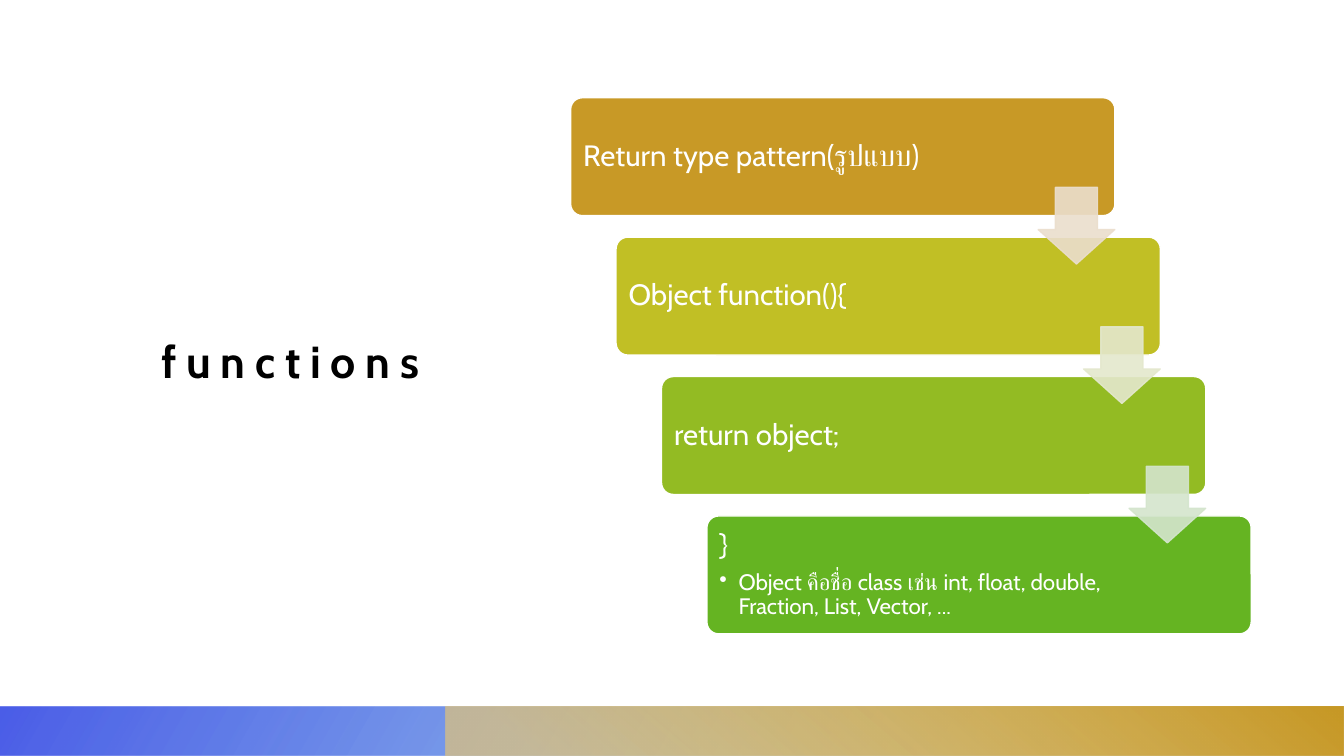
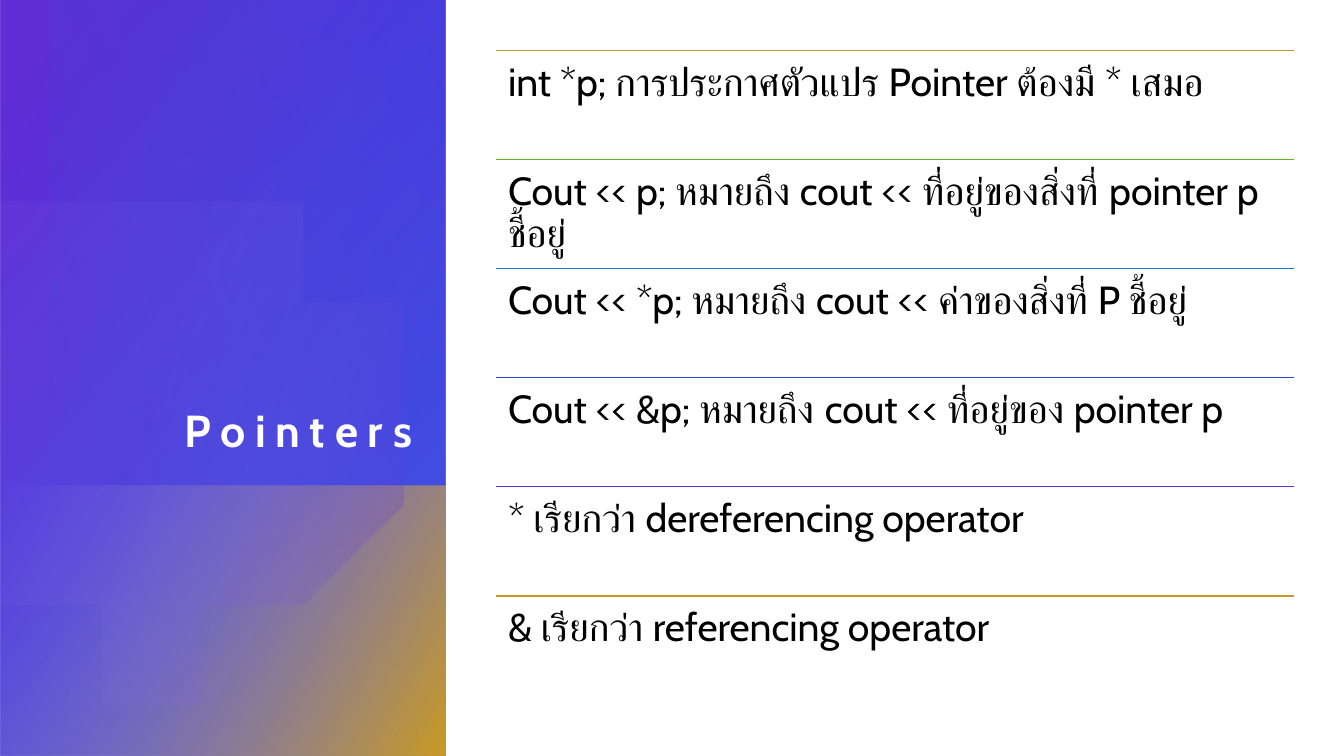
from pptx import Presentation
from pptx.dml.color import RGBColor
from pptx.enum.shapes import MSO_CONNECTOR, MSO_SHAPE
from pptx.enum.text import MSO_ANCHOR, PP_ALIGN
from pptx.oxml.ns import qn
from pptx.oxml.xmlchemy import OxmlElement
from pptx.util import Inches, Pt

WIDE, HIGH = Inches(13.333), Inches(7.5)
FONT = "Cabin"
WHITE, BLACK = "FFFFFF", "000000"
GOLD, OLIVE, LIME, GREEN = "C89926", "C1BF25", "93BB23", "65B422"
SKY, BLUE, VIOLET = "1A7CD2", "2C41E4", "602DD6"
SIDE = 33.15  # share of the width held by the left column

STEPS = [
    (GOLD, ["Return type pattern(รูปแบบ)"]),
    (OLIVE, ["Object function(){"]),
    (LIME, ["return object;"]),
    (GREEN, ["}", "Object คือชื่อ class เช่น int, float, double, "
             "Fraction, List, Vector, ..."]),
]
ARROWS = ["EBDECD", "E4E8CD", "D4E5CD"]
ROWS = [
    (GOLD, "int *p; การประกาศตัวแปร Pointer ต้องมี * เสมอ"),
    (GREEN, "Cout << p; หมายถึง cout << ที่อยู่ของสิ่งที่\u00a0pointer p ชี้อยู่"),
    (SKY, "Cout << *p; หมายถึง cout << ค่าของสิ่งที่ P ชี้อยู่"),
    (BLUE, "Cout << &p; หมายถึง\u00a0cout << ที่อยู่ของ pointer p"),
    (VIOLET, "* เรียกว่า dereferencing operator"),
    (GOLD, "& เรียกว่า referencing operator"),
]
# Disc outline in inches: start, then curves (two handles and an end) or corners.
START = (1.64, 1.96)
DISC = [
    [(2.61, 1.98), (3.5, 2.63), (3.78, 3.62)],
    [(4.13, 4.83), (3.43, 6.1), (2.22, 6.44)],
    [(1.46, 6.66), (0.68, 6.47), (0.12, 6)],
    [(0, 5.89)],
    [(0, 2.61)],
    [(0.15, 2.47)],
    [(0.38, 2.29), (0.65, 2.14), (0.95, 2.05)],
    [(1.18, 1.99), (1.41, 1.96), (1.64, 1.96)],
]


def rgb(code):
    """Turn a hex string into a colour."""
    return RGBColor.from_string(code)


def area(x, y, wide, high):
    """Turn percent shares of the slide into lengths."""
    return [int(part * full / 100) for part, full in
            zip((x, y, wide, high), (WIDE, HIGH, WIDE, HIGH))]


def put(item, form):
    """Set each attribute of a format dict."""
    for name, value in form.items():
        setattr(item, name, value)


def node(home, tag, **attrs):
    """Append an XML child with the given attributes."""
    kid = OxmlElement(tag)
    for name, value in attrs.items():
        kid.set(name, str(value))
    home.append(kid)
    return kid


def blend(shape, stops, angle):
    """Fill a shape with a gradient of (place, colour, opacity) stops."""
    put(shape.shadow, {"inherit": False})
    shape.line.fill.background()
    shape.fill.background()
    props = shape.element.spPr
    grad = OxmlElement("a:gradFill")
    grad.set("rotWithShape", "1")
    props.replace(props.find(qn("a:noFill")), grad)
    stack = node(grad, "a:gsLst")
    for place, code, alpha in stops:
        stop = node(stack, "a:gs", pos=place * 1000)
        tone = node(stop, "a:srgbClr", val=code)
        node(tone, "a:alpha", val=alpha * 1000)
    node(grad, "a:lin", ang=angle * 60000, scaled=0)


def wash(slide, share, stops, angle, turn=0):
    """Draw a mirrored, turned gradient panel over the given area."""
    x, y, wide, high = area(*share)
    if turn % 180:
        x, y = x + (wide - high) // 2, y + (high - wide) // 2
        wide, high = high, wide
    panel = slide.shapes.add_shape(MSO_SHAPE.RECTANGLE, x, y, wide, high)
    panel.rotation = turn
    panel.element.spPr.find(qn("a:xfrm")).set("flipH", "1")
    blend(panel, stops, angle)


def block(slide, kind, share, code, line, adjust, alpha=100):
    """Draw a plain filled shape with a thin line."""
    shape = slide.shapes.add_shape(kind, *area(*share))
    shape.shadow.inherit = False
    for order, value in enumerate(adjust):
        shape.adjustments[order] = value
    shape.fill.solid()
    shape.fill.fore_color.rgb = rgb(code)
    put(shape.line, {"width": Pt(1)})
    shape.line.color.rgb = rgb(line)
    if alpha < 100:
        for tone in shape.element.spPr.iter(qn("a:srgbClr")):
            node(tone, "a:alpha", val=alpha * 1000)
    return shape


def write(shape, texts, code, sizes, pad, anchor, form=None, bold=None):
    """Write paragraphs, one size each, into a shape."""
    frame = shape.text_frame
    sides = ("margin_left", "margin_top", "margin_right", "margin_bottom")
    put(frame, dict(zip(sides, map(Inches, pad))))
    put(frame, {"word_wrap": True, "vertical_anchor": anchor})
    for order, (text, size) in enumerate(zip(texts, sizes)):
        para = frame.add_paragraph() if order else frame.paragraphs[0]
        put(para, {"alignment": PP_ALIGN.LEFT, **(form or {})})
        run = para.add_run()
        run.text = text
        put(run.font, {"name": FONT, "size": Pt(size), "bold": bold})
        run.font.color.rgb = rgb(code)


def title(slide, share, text, code, anchor, align):
    """Add a bold, widely spaced title."""
    box = slide.shapes.add_textbox(*area(*share))
    write(box, [text], code, [32], (0.12, 0.12, 0.12, 0.1), anchor,
          {"alignment": align}, True)
    for props in box.element.iter(qn("a:rPr")):
        props.set("spc", "700")


def dot(shape):
    """Give the last paragraph of a shape a bullet and tight spacing."""
    para = shape.text_frame.paragraphs[-1]
    para.space_after = Pt(2.5)
    props = list(shape.element.iter(qn("a:pPr")))[-1]
    props.set("marL", str(Inches(0.19)))
    props.set("indent", str(-Inches(0.19)))
    node(props, "a:buChar", char="•")


def rule(slide, x, y, wide, code):
    """Draw a thin level line."""
    left, top, span, _ = area(x, y, wide, 0)
    line = slide.shapes.add_connector(
        MSO_CONNECTOR.STRAIGHT, left, top, left + span, top)
    line.line.color.rgb = rgb(code)
    line.line.width = Pt(1)
    node(line.element.spPr, "a:effectLst")


def curve(points, count=24):
    """Give points along a cubic curve."""
    for step in range(1, count + 1):
        t = step / count
        mix = ((1 - t) ** 3, 3 * t * (1 - t) ** 2, 3 * t * t * (1 - t), t ** 3)
        yield tuple(sum(m * p[axis] for m, p in zip(mix, points))
                    for axis in (0, 1))


def disc(slide):
    """Draw the faint cut circle on the side panel."""
    last, trace = START, []
    for part in DISC:
        trace += curve([last, *part]) if len(part) == 3 else part
        last = part[-1]
    pen = slide.shapes.build_freeform(*START, scale=Inches(1))
    pen.add_line_segments(trace, close=True)
    blend(pen.convert_to_shape(), [(36, "A081E6", 6), (100, VIOLET, 26)], 14)


def stairs(slide):
    """Build the slide of stepped blocks joined by arrows."""
    title(slide, (11.1, 14.93, 27.3, 65.2), "functions", BLACK,
          MSO_ANCHOR.MIDDLE, PP_ALIGN.LEFT)
    top = 93.47
    wash(slide, (0, top, 100, 100 - top),
         [(14, SKY, 28), (100, BLUE, 85)], 150, 180)
    wash(slide, (SIDE, top, 100 - SIDE, 100 - top),
         [(9, "E5C576", 68), (99, GOLD, 100)], 230)
    right, down = 3.38, 18.44
    for order, (code, texts) in enumerate(STEPS):
        share = (42.46 + order * right, 12.93 + order * down, 40.5, 15.6)
        step = block(slide, MSO_SHAPE.ROUNDED_RECTANGLE, share, code, WHITE,
                     [0.1])
        write(step, texts, WHITE, [21, 16], (0.09, 0.09, 1.3, 0.09),
              MSO_ANCHOR.MIDDLE, {"line_spacing": 0.9, "space_after": Pt(7)})
        if len(texts) > 1:
            dot(step)
    for order, code in enumerate(ARROWS):
        share = (77.25 + order * right, 24.8 + order * down, 5.7, 10.13)
        block(slide, MSO_SHAPE.DOWN_ARROW, share, code, code, [0.55, 0.45], 90)


def listing(slide):
    """Build the slide of ruled rows beside a coloured panel."""
    fold = 64.2
    wash(slide, (0, 0, SIDE, 100), [(8, VIOLET, 100), (100, BLUE, 89)], 50, 270)
    wash(slide, (0, fold, SIDE, 100 - fold),
         [(0, "808DEF", 0), (99, GOLD, 100)], 60, 270)
    disc(slide)
    wash(slide, (3.71, 0, 29.4, fold), [(0, BLUE, 29), (100, SKY, 0)], 110, 90)
    title(slide, (3.75, 12.67, 27.83, 49.07), "Pointers", WHITE,
          MSO_ANCHOR.BOTTOM, PP_ALIGN.RIGHT)
    left, wide, pitch = 36.9, 59.36, 14.43
    for order, (code, text) in enumerate(ROWS):
        top = 6.67 + order * pitch
        rule(slide, left, top, wide, code)
        row = slide.shapes.add_textbox(*area(left, top, wide, pitch))
        write(row, [text], BLACK, [28], [0.12] * 4, MSO_ANCHOR.TOP,
              {"line_spacing": 0.9, "space_after": Pt(10)})


def main():
    """Build and save the deck."""
    deck = Presentation()
    put(deck, {"slide_width": WIDE, "slide_height": HIGH})
    for build in (stairs, listing):
        build(deck.slides.add_slide(deck.slide_layouts[6]))
    deck.save("out.pptx")


main()
